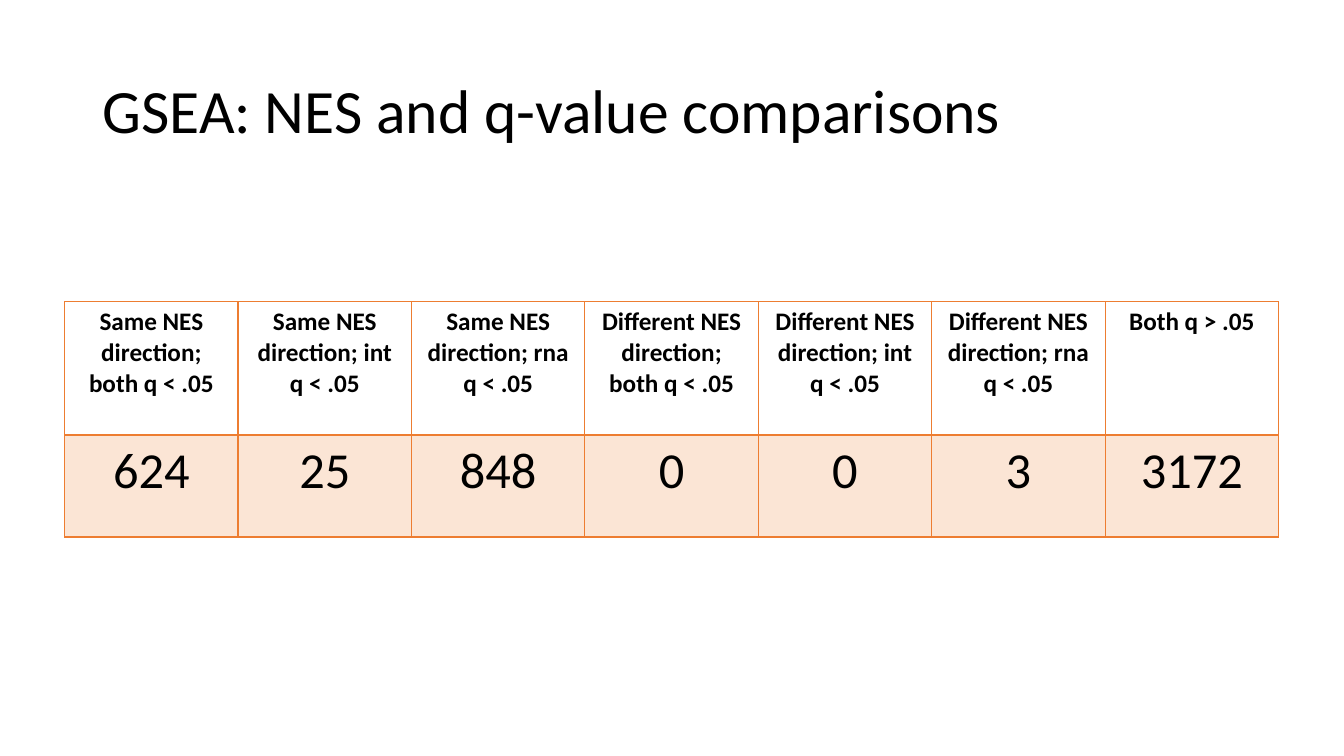
"""Build a slide with a table comparing GSEA directions and q-values."""
from lxml import etree
from pptx import Presentation
from pptx import util as u
from pptx.dml.color import RGBColor
from pptx.enum import text
from pptx.oxml import ns

BLACK = RGBColor(0x00, 0x00, 0x00)
ORANGE = RGBColor(0xED, 0x7D, 0x31)
FONT = "Calibri"

HEADS = [
    f"{way} NES direction; {test} q < .05"
    for way in ("Same", "Different")
    for test in ("both", "int", "rna")
] + ["Both q > .05"]
COUNTS = ["624", "25", "848", "0", "0", "3", "3172"]


def write(frame, words, size=18, bold=False, align=text.PP_ALIGN.CENTER, space=1.0):
    para = frame.paragraphs[0]
    para.alignment = align
    para.line_spacing = space
    run = para.add_run()
    run.text = words
    font = run.font
    font.name, font.size, font.bold = FONT, u.Pt(size), bold
    font.color.rgb = BLACK


class Deck:
    def __init__(self):
        self.show = Presentation()
        self.show.slide_width = u.Cm(33.87)
        self.show.slide_height = u.Cm(19.05)
        self.slide = self.show.slides.add_slide(self.show.slide_layouts[5])

    def title(self, words, left, top, width, height):
        head = self.slide.shapes.title
        head.left, head.top = u.Cm(left), u.Cm(top)
        head.width, head.height = u.Cm(width), u.Cm(height)
        frame = head.text_frame
        frame.word_wrap = True
        frame.auto_size = text.MSO_AUTO_SIZE.NONE
        frame.vertical_anchor = text.MSO_ANCHOR.MIDDLE
        write(frame, words, size=44, align=text.PP_ALIGN.LEFT, space=0.9)

    def border(self, cell, side, width):
        props = cell._tc.get_or_add_tcPr()
        line = etree.SubElement(props, ns.qn(f"a:ln{side}"), w=str(u.Pt(width)))
        fill = etree.SubElement(line, ns.qn("a:solidFill"))
        etree.SubElement(fill, ns.qn("a:srgbClr"), val=str(ORANGE))

    def tint(self, cell, alpha):
        cell.fill.solid()
        cell.fill.fore_color.rgb = ORANGE
        color = cell._tc.tcPr.find(f".//{ns.qn('a:solidFill')}[last()]")
        color = cell._tc.tcPr.find(f"{ns.qn('a:solidFill')}/{ns.qn('a:srgbClr')}")
        etree.SubElement(color, ns.qn("a:alpha"), val=str(alpha * 1000))

    def table(self, rows, left, top, wide, highs):
        count = len(rows[0])
        grid = self.slide.shapes.add_table(
            len(rows), count, u.Cm(left), u.Cm(top),
            u.Cm(wide * count), u.Cm(sum(highs))).table
        grid.first_row = grid.horz_banding = False
        for col in grid.columns:
            col.width = u.Cm(wide)
        for r, (words, high) in enumerate(zip(rows, highs)):
            grid.rows[r].height = u.Cm(high)
            for c, word in enumerate(words):
                cell = grid.cell(r, c)
                is_head = r == 0
                write(cell.text_frame, word, size=18 if is_head else 36, bold=is_head)
                for side in "LRTB":
                    joint = side == ("B" if is_head else "T")
                    self.border(cell, side, 2 if joint else 1)
                if is_head:
                    cell.fill.background()
                else:
                    self.tint(cell, 20)


def main():
    deck = Deck()
    deck.title("GSEA: NES and q-value comparisons", 2.33, 1.01, 29.21, 3.68)
    deck.table([HEADS, COUNTS], 1.63, 7.6, 4.37, [3.36, 2.57])
    deck.show.save("out.pptx")


if __name__ == "__main__":
    main()
